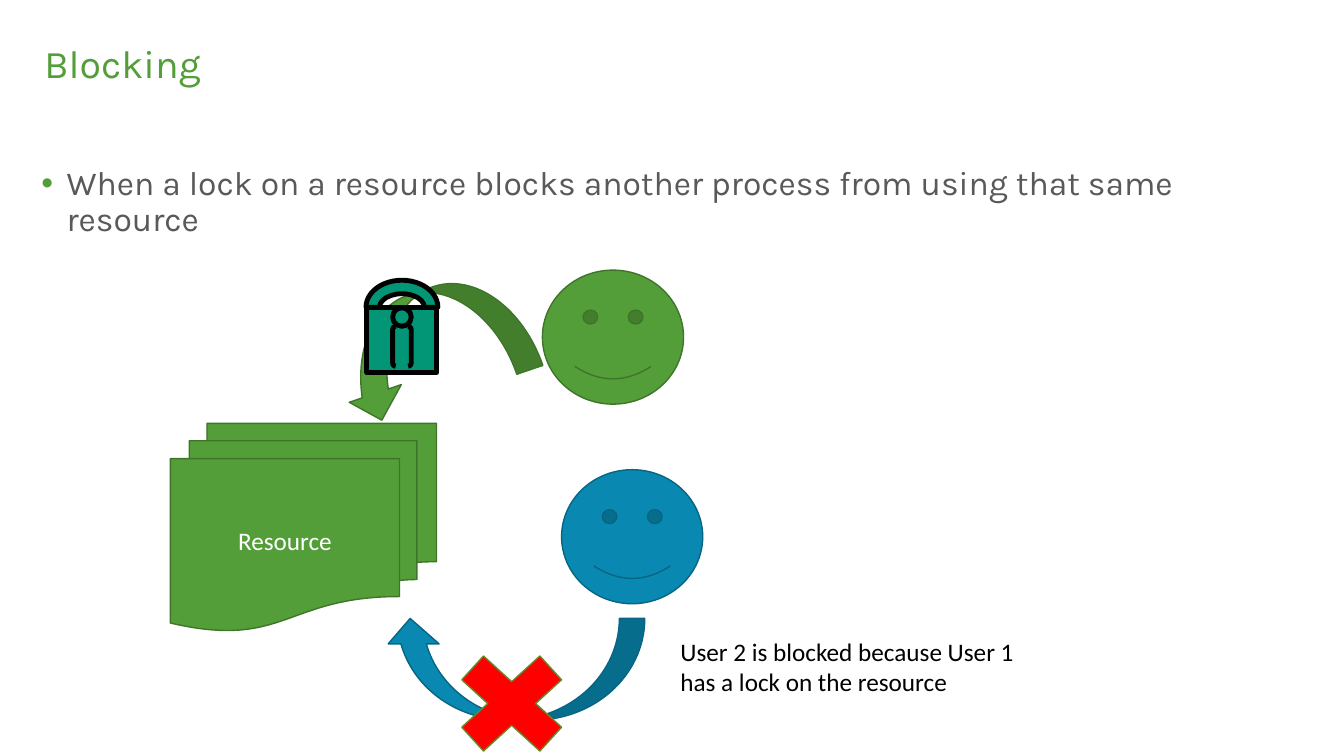
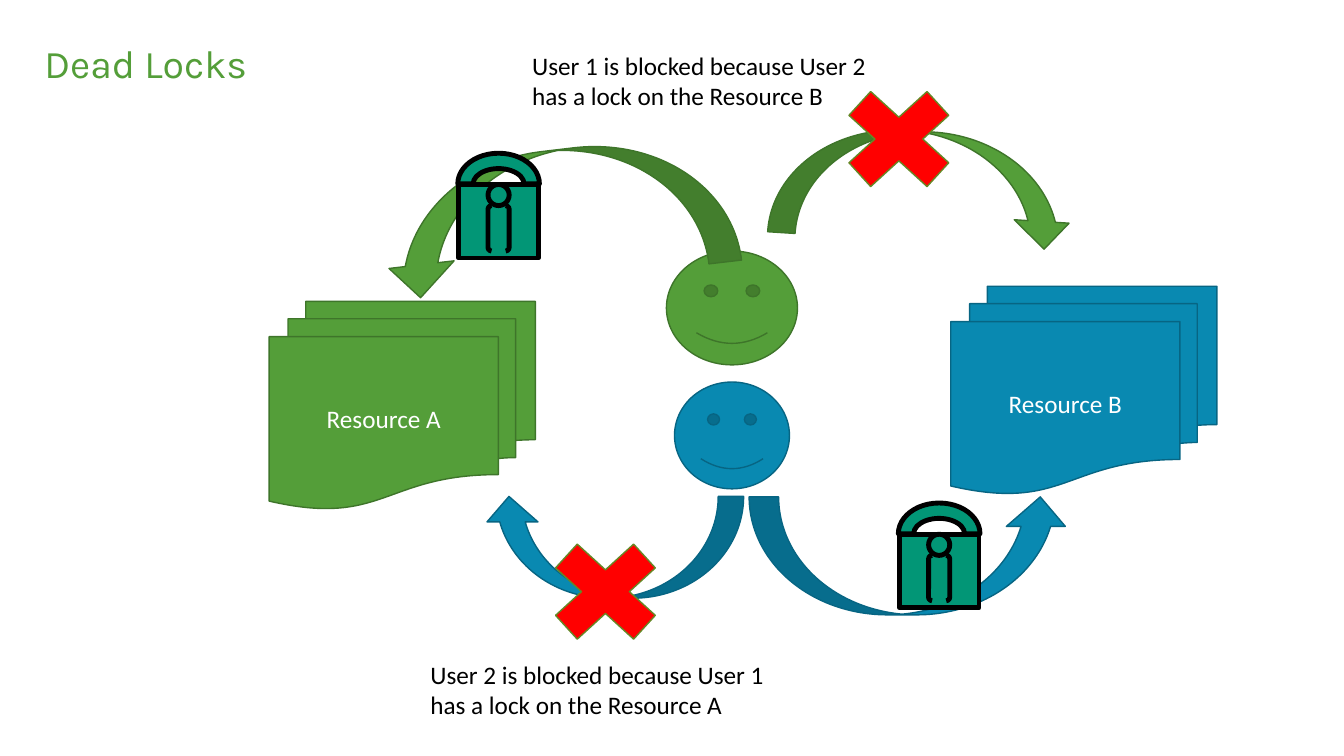
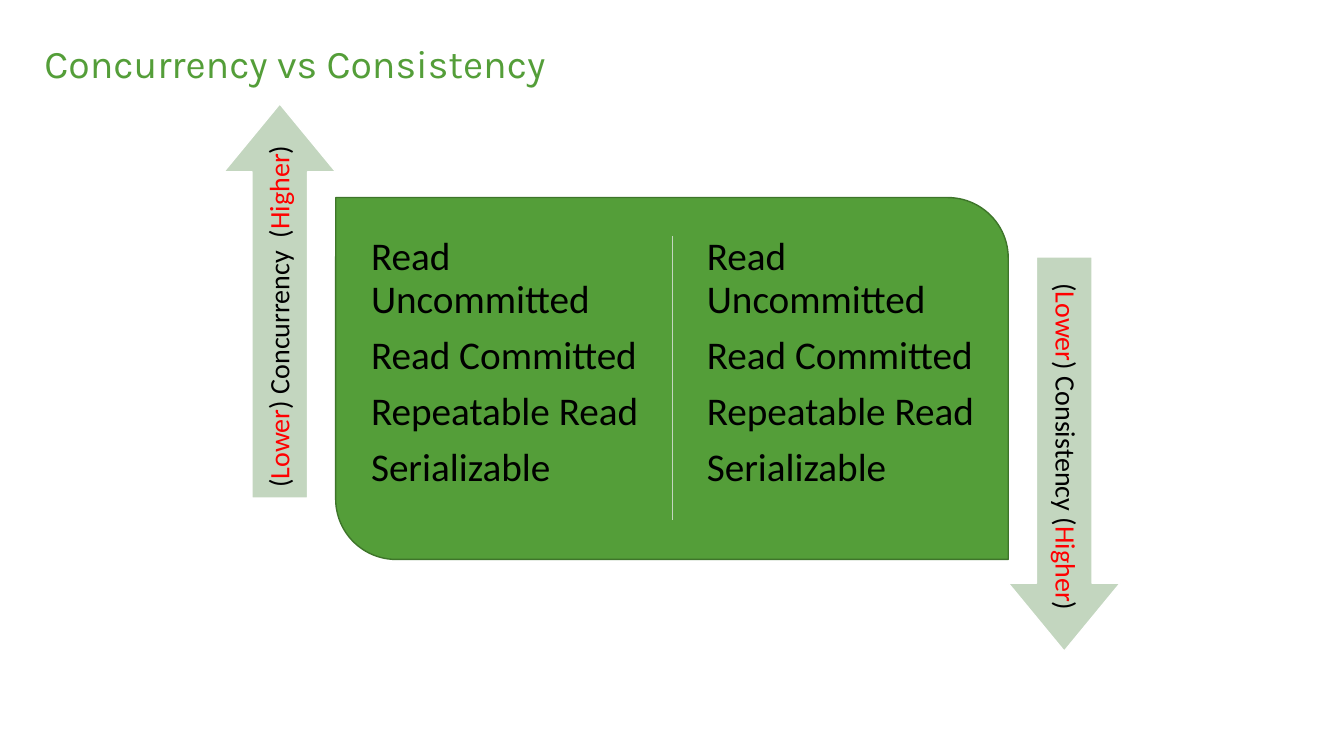
"""Build three slides on blocking, deadlocks and isolation levels."""
import pptx
import pptx.util
import pptx.dml.color
import pptx.enum.shapes
import pptx.enum.text
import pptx.oxml
import pptx.oxml.ns

Inches = pptx.util.Inches
Pt = pptx.util.Pt
SHAPE = pptx.enum.shapes.MSO_SHAPE
ALIGN = pptx.enum.text.PP_ALIGN
ANCHOR = pptx.enum.text.MSO_ANCHOR
rgb = pptx.dml.color.RGBColor.from_string

GREEN, BLUE, RED, TEAL, PALE = "549E39", "0989B1", "FF0000", "029676", "C3D6BF"
BLACK, WHITE, GREY = "000000", "FFFFFF", "595959"
EDGES = {GREEN: "3E752A", BLUE: "076583", RED: "668826", TEAL: BLACK}


def draw(s, kind, box, fill, weight=1, rotation=0):
    sp = s.shapes.add_shape(kind, *map(Inches, box))
    sp.shadow.inherit = False
    sp.fill.solid()
    sp.fill.fore_color.rgb = rgb(fill)
    sp.line.color.rgb = rgb(EDGES.get(fill, WHITE))
    sp.line.width = Pt(weight)
    sp.rotation = rotation
    return sp


def write(p, text, size, color=BLACK, font="Calibri"):
    r = p.add_run()
    r.text = text
    r.font.size = Pt(size)
    r.font.name = font
    r.font.color.rgb = rgb(color)


prs = pptx.Presentation()
prs.slide_width = Inches(13.33)
prs.slide_height = Inches(7.5)

slides = []
for title, layout in [("Blocking", 1), ("Dead Locks", 5), ("Concurrency vs Consistency", 5)]:
    s = prs.slides.add_slide(prs.slide_layouts[layout])
    sp = s.shapes.title
    sp.left, sp.top, sp.width, sp.height = map(Inches, (0.34, 0.25, 11.5, 0.8))
    tf = sp.text_frame
    tf.vertical_anchor = ANCHOR.MIDDLE
    tf.auto_size = pptx.enum.text.MSO_AUTO_SIZE.NONE
    p = tf.paragraphs[0]
    p.alignment = ALIGN.LEFT
    p.line_spacing = 0.9
    write(p, title, 28, GREEN, "Karla")
    slides.append(s)
blocking, deadlocks, levels = slides

sp = blocking.placeholders[1]
sp.left, sp.top, sp.width, sp.height = map(Inches, (0.31, 1.6, 12.1, 5.15))
tf = sp.text_frame
tf.auto_size = pptx.enum.text.MSO_AUTO_SIZE.NONE
p = tf.paragraphs[0]
pPr = p._p.get_or_add_pPr()
pPr.set("marL", str(Inches(0.25)))
pPr.set("indent", str(Inches(-0.25)))
ns = pptx.oxml.ns.nsdecls("a")
pPr.append(pptx.oxml.parse_xml(f'<a:buClr {ns}><a:srgbClr val="{GREEN}"/></a:buClr>'))
pPr.append(pptx.oxml.parse_xml(f'<a:buChar {ns} char="•"/>'))
p.line_spacing = 0.9
p.space_before = Pt(0)
write(p, "When a lock on a resource blocks another process from using that same resource",
      24, GREY, "Karla")

for s, x, y, color, label in [
    (blocking, 1.69, 4.2, GREEN, "Resource"),
    (deadlocks, 2.67, 2.99, GREEN, "Resource A"),
    (deadlocks, 9.43, 2.84, BLUE, "Resource B"),
]:
    sp = draw(s, SHAPE.FLOWCHART_MULTIDOCUMENT, (x, y, 2.64, 2.06), color)
    write(sp.text_frame.paragraphs[0], label, 18, WHITE)

for s, box, color in [
    (blocking, (5.38, 2.68, 1.4, 1.33), GREEN),
    (blocking, (5.57, 4.66, 1.4, 1.33), BLUE),
    (deadlocks, (6.61, 2.49, 1.3, 1.13), GREEN),
    (deadlocks, (6.69, 3.79, 1.14, 1.06), BLUE),
]:
    draw(s, SHAPE.SMILEY_FACE, box, color)

for s, kind, box, color, rotation in [
    (blocking, SHAPE.CURVED_UP_ARROW, (3.3, 2.88, 1.96, 1.09), GREEN, 161.2),
    (blocking, SHAPE.CURVED_LEFT_ARROW, (4.6, 5.35, 1.01, 2.58), BLUE, 90),
    (deadlocks, SHAPE.CURVED_UP_ARROW, (3.76, 1.49, 3.53, 1.3), GREEN, 173.3),
    (deadlocks, SHAPE.CURVED_LEFT_ARROW, (5.58, 4.14, 1.01, 2.58), BLUE, 90),
    (deadlocks, SHAPE.CURVED_LEFT_ARROW, (8.61, 0.34, 1.09, 3.02), GREEN, 273.6),
    (deadlocks, SHAPE.CURVED_UP_ARROW, (7.43, 4.93, 3.18, 1.17), BLUE, 0),
]:
    draw(s, kind, box, color, rotation=rotation)

for s, x, y in [(blocking, 4.33, 6.3), (deadlocks, 5.26, 5.19), (deadlocks, 8.17, 0.7)]:
    draw(s, SHAPE.MATH_MULTIPLY, (x, y, 1.49, 1.36), RED)

lock_parts = [
    (SHAPE.BLOCK_ARC, 0, 0, 0.81, 0.61),
    (SHAPE.RECTANGLE, 0.01, 0.31, 0.79, 0.73),
    (SHAPE.DOUBLE_BRACKET, 0.3, 0.52, 0.21, 0.45),
    (SHAPE.OVAL, 0.3, 0.31, 0.21, 0.21),
]
for s, left, top, scale in [
    (blocking, 3.63, 2.78, 0.88), (deadlocks, 4.54, 1.52, 1), (deadlocks, 8.91, 4.99, 1),
]:
    for kind, x, y, w, h in lock_parts:
        draw(s, kind, (left + x * scale, top + y * scale, w * scale, h * scale), TEAL, 3.5)

for s, x, y, text in [
    (blocking, 6.65, 6.26, "User 2 is blocked because User 1 has a lock on the resource"),
    (deadlocks, 4.17, 6.49, "User 2 is blocked because User 1 has a lock on the Resource A"),
    (deadlocks, 5.18, 0.45, "User 1 is blocked because User 2 has a lock on the Resource B"),
]:
    tf = s.shapes.add_textbox(*map(Inches, (x, y, 3.68, 0.71))).text_frame
    tf.word_wrap = True
    write(tf.paragraphs[0], text, 18)

s = levels
sp = draw(s, SHAPE.ROUND_2_DIAG_RECTANGLE, (3.33, 1.96, 6.67, 3.59), GREEN)
sp.adjustments[0] = 0
sp.adjustments[1] = 0.167
divider = s.shapes.add_connector(pptx.enum.shapes.MSO_CONNECTOR.STRAIGHT,
                                 *map(Inches, (6.67, 2.34, 6.67, 5.16)))
divider.line.color.rgb = rgb(PALE)
divider.line.width = Pt(1)
divider._element.spPr.append(pptx.oxml.parse_xml(f"<a:effectLst {ns}/>"))

for x in (3.56, 6.89):
    tf = s.shapes.add_textbox(*map(Inches, (x, 2.23, 2.89, 3.04))).text_frame
    tf.word_wrap = True
    tf.margin_left = tf.margin_right = tf.margin_top = tf.margin_bottom = Inches(0.12)
    for i, level in enumerate(
            ["Read Uncommitted", "Read Committed", "Repeatable Read", "Serializable"]):
        p = tf.add_paragraph() if i else tf.paragraphs[0]
        p.line_spacing = 0.9
        p.space_after = Pt(9.8)
        write(p, level, 28)

for arrow_x, arrow_y, x, y, rotation, middle in [
    (0.82, 2.43, 0.99, 2.88, 270, ") Concurrency  ("),
    (8.6, 3.95, 8.77, 4.07, 90, ") Consistency ("),
]:
    sp = draw(s, SHAPE.RIGHT_ARROW, (arrow_x, arrow_y, 3.91, 1.11), PALE, rotation=rotation)
    sp.adjustments[0] = 0.498
    sp.adjustments[1] = 0.607
    sp = s.shapes.add_textbox(*map(Inches, (x, y, 3.58, 0.55)))
    sp.rotation = rotation
    tf = sp.text_frame
    tf.word_wrap = True
    tf.vertical_anchor = ANCHOR.MIDDLE
    tf.margin_left = tf.margin_right = tf.margin_top = tf.margin_bottom = Inches(0.08)
    p = tf.paragraphs[0]
    p.alignment = ALIGN.RIGHT
    p.line_spacing = 0.9
    for text, color in [("(", BLACK), ("Lower", RED), (middle, BLACK), ("Higher", RED), (")", BLACK)]:
        write(p, text, 20, color)

prs.save("out.pptx")
